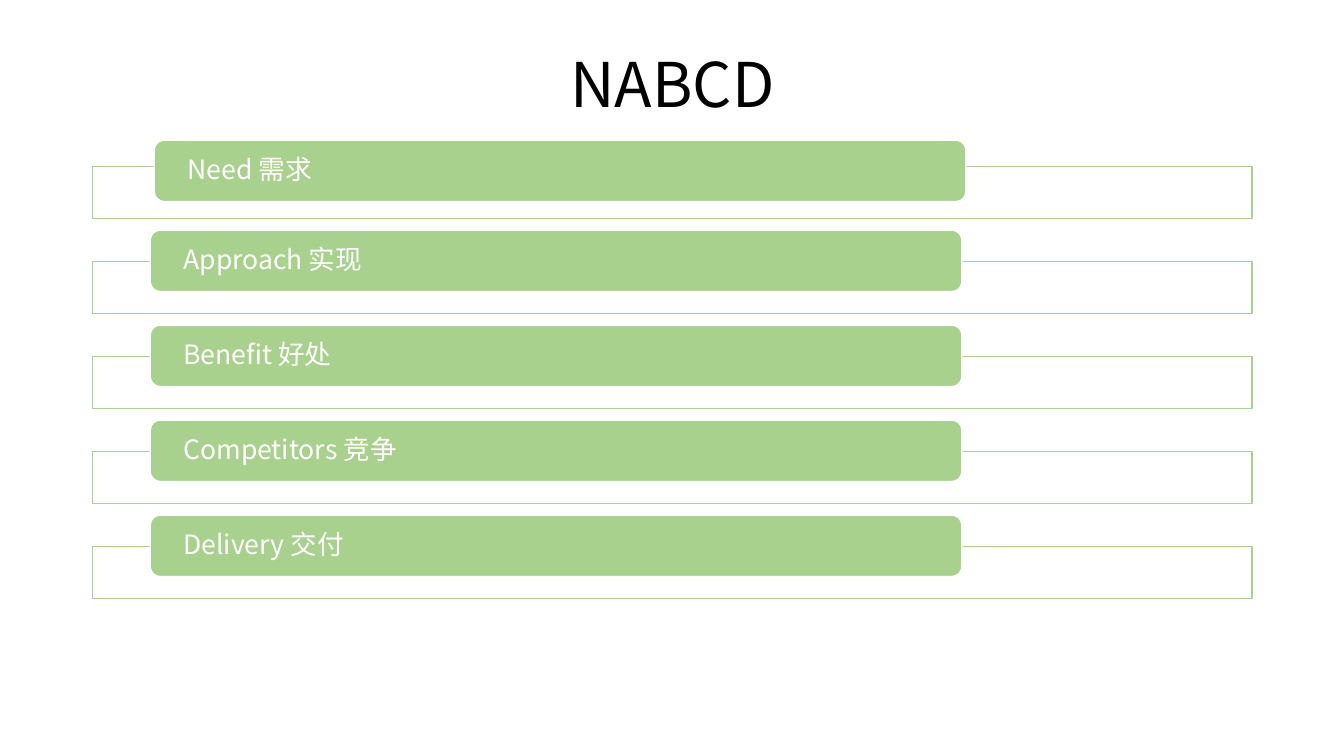
from dataclasses import dataclass

from lxml import etree
from pptx import Presentation
from pptx.dml.color import RGBColor
from pptx.enum.shapes import MSO_SHAPE
from pptx.enum.text import MSO_ANCHOR, PP_ALIGN
from pptx.oxml.ns import qn
from pptx.util import Inches, Pt

RECTANGLE, ROUNDED = MSO_SHAPE.RECTANGLE, MSO_SHAPE.ROUNDED_RECTANGLE
LEFT, CENTER = PP_ALIGN.LEFT, PP_ALIGN.CENTER
MIDDLE = MSO_ANCHOR.MIDDLE


@dataclass(frozen=True)
class Theme:
    """Colours, font and type sizes of the slide."""
    green: RGBColor = RGBColor(0xA9, 0xD1, 0x8E)
    white: RGBColor = RGBColor(0xFF, 0xFF, 0xFF)
    black: RGBColor = RGBColor(0, 0, 0)
    font: str = "Noto Sans CJK SC"
    title_size: int = 44
    label_size: int = 19


THEME = Theme()
TOPICS = ["Need 需求", "Approach 实现", "Benefit 好处", "Competitors 竞争", "Delivery 交付"]


def write_text(holder, text, *, size, color, align=LEFT, inset=(0.1, 0.05)):
    """Write one vertically centred paragraph into a shape."""
    frame = holder.text_frame
    frame.word_wrap = True
    frame.vertical_anchor = MIDDLE
    frame.margin_left = frame.margin_right = Inches(inset[0])
    frame.margin_top = frame.margin_bottom = Inches(inset[1])
    paragraph = frame.paragraphs[0]
    paragraph.alignment = align
    paragraph.line_spacing = 0.9
    run = paragraph.add_run()
    run.text = text
    run.font.size = Pt(size)
    run.font.color.rgb = color
    run.font.name = THEME.font
    east_asian = etree.SubElement(run.font._element, qn("a:ea"))
    east_asian.set("typeface", THEME.font)


def add_box(slide, preset, box, *, line, fill=None):
    """Add a flat outlined shape at left, top, width, height."""
    shape = slide.shapes.add_shape(preset, *map(Inches, box))
    shape.shadow.inherit = False
    shape.line.color.rgb = line
    shape.line.width = Pt(1)
    if fill is None:
        shape.fill.background()
    else:
        shape.fill.solid()
        shape.fill.fore_color.rgb = fill
    return shape


def add_title(slide, text, box):
    """Place the centred title."""
    title = slide.shapes.title
    title.left, title.top, title.width, title.height = map(Inches, box)
    write_text(title, text, size=THEME.title_size, color=THEME.black, align=CENTER)


def add_topic(slide, topic, box, bar_offset):
    """Draw an outlined frame with its label bar overlapping the top edge."""
    left, top, width, _ = box
    dx, dy = bar_offset
    add_box(slide, RECTANGLE, box, line=THEME.green)
    bar_box = (left + dx, top + dy, 0.7 * width, 0.61)
    bar = add_box(slide, ROUNDED, bar_box, line=THEME.white, fill=THEME.green)
    write_text(bar, topic, size=THEME.label_size, color=THEME.white, inset=(0.3, 0))


def add_topic_list(slide, topics, box):
    """Stack the topics evenly in the box, with the first bar set off slightly."""
    left, top, width, height = box
    frame_height = 0.52
    pitch = (height - frame_height) / (len(topics) - 1)
    for row, topic in enumerate(topics):
        bar_offset = (0.57, -0.31) if row else (0.61, -0.26)
        add_topic(slide, topic, (left, top + row * pitch, width, frame_height), bar_offset)


def main():
    """Build and save the slide."""
    deck = Presentation()
    deck.slide_width, deck.slide_height = Inches(13.33), Inches(7.5)
    slide = deck.slides.add_slide(deck.slide_layouts[5])
    add_title(slide, "NABCD", (0.92, 0.14, 11.5, 1.45))
    add_topic_list(slide, TOPICS, (0.92, 1.65, 11.5, 4.29))
    deck.save("out.pptx")


if __name__ == "__main__":
    main()
